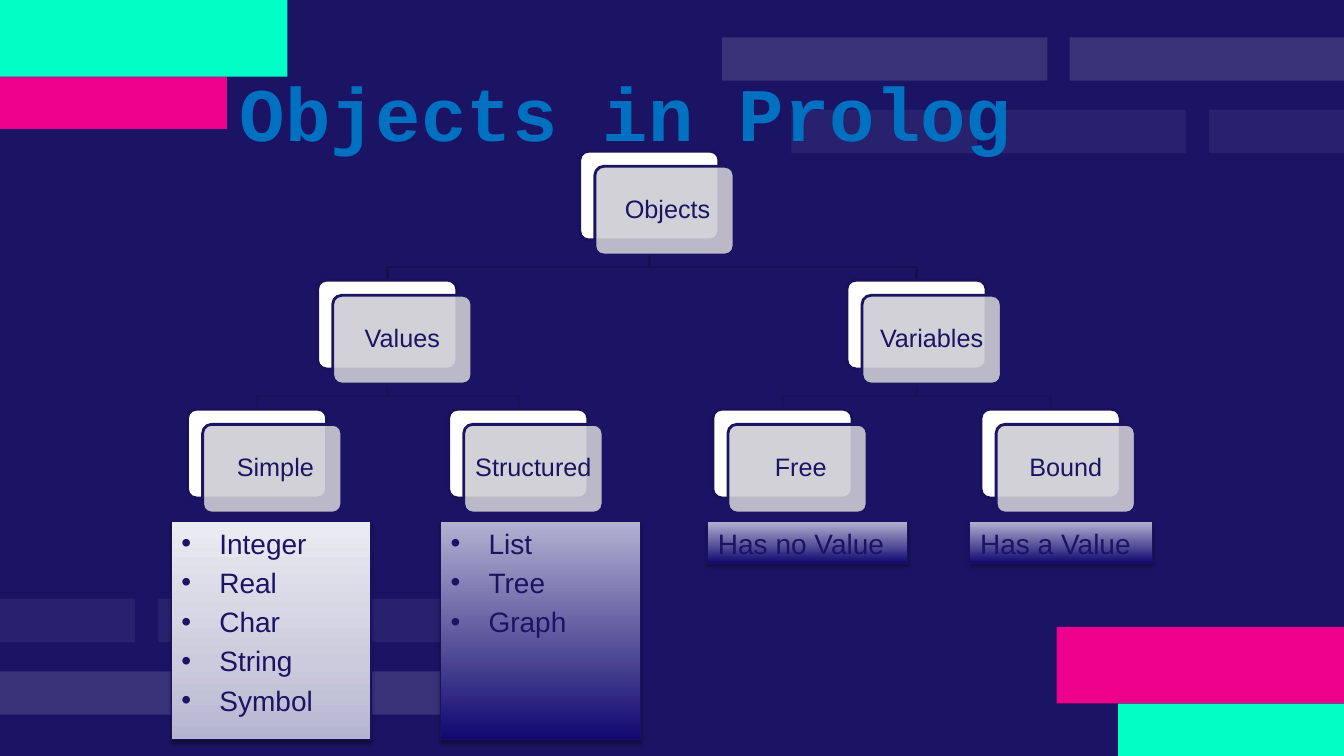
from typing import NamedTuple, Optional

from lxml import etree
from pptx import Presentation
from pptx import util as u
from pptx.dml import color
from pptx.enum import shapes, text
from pptx.oxml import ns

WIDTH, HEIGHT = 13.33, 7.5
CARD_W, CARD_H, CARD_SHIFT = 1.38, 0.88, 0.15
TREE_TOP, LEVEL_STEP = 1.5, 1.28
COLORS = {
    "navy": "1B1464", "white": "FFFFFF", "pink": "EC008C", "mint": "00FFC5",
    "title": "0070C0", "card": "CDCCD3", "card_edge": "19125B",
    "trunk": "161050", "branch": "19125B", "panel_edge": "191264",
}
PALE = [(0, "B5B4CF"), (35, "CBCBDD"), (100, "EBEBF2")]
DEEP = [(0, "110870"), (100, "B2B2D1")]


class Block(NamedTuple):
    x: float
    y: float
    w: float
    h: float
    color: str
    alpha: int = 100


class Node(NamedTuple):
    label: str
    x: float
    level: int
    parent: Optional[str] = None

    @property
    def y(self) -> float:
        return TREE_TOP + LEVEL_STEP * self.level

    @property
    def mid(self) -> float:
        return self.x + CARD_W / 2


class Panel(NamedTuple):
    idx: int
    x: float
    w: float
    h: float
    lines: str
    stops: list
    shadow: int


BANDS = [
    Block(11.99, 1.09, 1.34, 0.43, "white", 6),
    Block(9.92, 1.09, 1.84, 0.43, "white", 6),
    Block(10.61, 0.37, 2.72, 0.43, "white", 13),
    Block(7.85, 1.09, 1.84, 0.43, "white", 6),
    Block(7.16, 0.37, 3.23, 0.43, "white", 13),
]
CORNERS = [
    Block(10.48, 6.22, 2.85, 0.76, "pink"),
    Block(11.09, 6.98, 2.24, 0.52, "mint"),
    Block(0, 0.76, 2.25, 0.52, "pink"),
    Block(0, 0, 2.85, 0.76, "mint"),
]
NODES = [
    Node("Objects ", 5.75, 0),
    Node("Values", 3.15, 1, "Objects "),
    Node("Simple ", 1.86, 2, "Values"),
    Node("Structured", 4.45, 2, "Values"),
    Node("Variables", 8.4, 1, "Objects "),
    Node("Free ", 7.07, 2, "Variables"),
    Node("Bound", 9.73, 2, "Variables"),
]
PANELS = [
    Panel(2, 1.7, 1.98, 2.17, "Integer\nReal\nChar\nString\nSymbol", PALE, 38),
    Panel(4, 4.37, 1.98, 2.17, "List\nTree\nGraph", DEEP, 35),
    Panel(1, 7.02, 1.98, 0.42, "Has no Value", DEEP, 35),
    Panel(3, 9.62, 1.81, 0.42, "Has a Value", DEEP, 35),
]


def rgb(name: str) -> color.RGBColor:
    return color.RGBColor.from_string(COLORS[name])


def place(sp, x: float, y: float, w: float, h: float) -> None:
    sp.left, sp.top = u.Inches(x), u.Inches(y)
    sp.width, sp.height = u.Inches(w), u.Inches(h)


def write(sp, content: str, *, size: int, fill: str = "navy", font: str = "Arial",
          bold: bool = False, align=text.PP_ALIGN.LEFT, anchor=text.MSO_ANCHOR.TOP,
          spacing: Optional[float] = None, rtl: bool = False,
          margins: tuple = (0.1, 0.05, 0.1, 0.05)) -> None:
    tf = sp.text_frame
    tf.word_wrap, tf.auto_size = True, text.MSO_AUTO_SIZE.NONE
    tf.vertical_anchor = anchor
    tf.margin_left, tf.margin_top, tf.margin_right, tf.margin_bottom = map(u.Inches, margins)
    for i, line in enumerate(content.split("\n")):
        p = tf.add_paragraph() if i else tf.paragraphs[0]
        p.alignment = align
        if spacing:
            p.line_spacing = spacing
        if rtl:
            p._p.get_or_add_pPr().set("rtl", "1")
        r = p.add_run()
        r.text = line
        r.font.size, r.font.name, r.font.bold = u.Pt(size), font, bold
        r.font.color.rgb = rgb(fill)


def add_block(s, b: Block, kind=shapes.MSO_SHAPE.RECTANGLE, edge: Optional[str] = None):
    sp = s.shapes.add_shape(kind, *map(u.Inches, b[:4]))
    sp.shadow.inherit = False
    sp.fill.solid()
    sp.fill.fore_color.rgb = rgb(b.color)
    if b.alpha < 100:
        clr = sp.element.spPr.find(ns.qn("a:solidFill"))[0]
        etree.SubElement(clr, ns.qn("a:alpha"), val=str(b.alpha * 1000))
    if edge:
        sp.line.color.rgb, sp.line.width = rgb(edge), u.Pt(2)
    else:
        sp.line.fill.background()
    return sp


def add_branch(s, parent: Node, child: Node) -> None:
    start, turn = parent.y + CARD_H, child.y - 0.13
    points = [(parent.mid, start), (parent.mid, turn), (child.mid, turn), (child.mid, child.y)]
    corners = [(u.Inches(x), u.Inches(y)) for x, y in points]
    fb = s.shapes.build_freeform(*corners[0])
    fb.add_line_segments(corners[1:], close=False)
    sp = fb.convert_to_shape()
    sp.shadow.inherit = False
    sp.fill.background()
    sp.line.color.rgb = rgb("branch" if parent.level else "trunk")
    sp.line.width = u.Pt(2)


def add_card(s, node: Node) -> None:
    kind = shapes.MSO_SHAPE.ROUNDED_RECTANGLE
    back = add_block(s, Block(node.x, node.y, CARD_W, CARD_H, "white"), kind, "card_edge")
    front = add_block(s, Block(node.x + CARD_SHIFT, node.y + CARD_SHIFT, CARD_W, CARD_H,
                               "card", 90), kind, "navy")
    for sp in (back, front):
        sp.adjustments[0] = 0.1
    write(front, node.label, size=18, align=text.PP_ALIGN.CENTER, spacing=0.9, rtl=True,
          anchor=text.MSO_ANCHOR.MIDDLE, margins=(0.05,) * 4)


def format_panel(sp, panel: Panel) -> None:
    place(sp, panel.x, 5.17, panel.w, panel.h)
    sp.fill.gradient()
    sp.fill.gradient_angle = 90
    spPr = sp.element.spPr
    stops = spPr.find(".//" + ns.qn("a:gsLst"))
    for old in list(stops):
        stops.remove(old)
    for pos, value in panel.stops:
        gs = etree.SubElement(stops, ns.qn("a:gs"), pos=str(pos * 1000))
        etree.SubElement(gs, ns.qn("a:srgbClr"), val=value)
    sp.line.color.rgb, sp.line.width = rgb("panel_edge"), u.Pt(0.75)
    sp.shadow.inherit = False
    shadow = etree.SubElement(spPr.find(ns.qn("a:effectLst")), ns.qn("a:outerShdw"),
                              blurRad=str(u.Pt(3.1)), dist=str(u.Pt(1.7)),
                              dir="5400000", rotWithShape="0")
    clr = etree.SubElement(shadow, ns.qn("a:srgbClr"), val="000000")
    etree.SubElement(clr, ns.qn("a:alpha"), val=str(panel.shadow * 1000))
    write(sp, panel.lines, size=20)


def main() -> None:
    prs = Presentation()
    prs.slide_width, prs.slide_height = u.Inches(WIDTH), u.Inches(HEIGHT)
    s = prs.slides.add_slide(prs.slide_layouts[4])
    s.background.fill.solid()
    s.background.fill.fore_color.rgb = rgb("navy")
    slots = {sp.placeholder_format.idx: sp for sp in s.placeholders}

    # Faint bands, repeated half a turn round, and bright corners
    turned = [b._replace(x=WIDTH - b.x - b.w, y=7.46 - b.y - b.h) for b in BANDS]
    for b in BANDS + turned + CORNERS:
        add_block(s, b)

    # Title, in front of the bands
    title = slots[0]
    s.shapes.element.append(title.element)
    place(title, 1.93, 0.3, 9, 1.25)
    write(title, "Objects in Prolog ", size=54, fill="title", font="Courier New", bold=True,
          align=text.PP_ALIGN.CENTER, anchor=text.MSO_ANCHOR.BOTTOM, spacing=0.8,
          margins=(0.1, 0.1, 0.1, 0))

    # Object tree: branches behind cards
    by_label = {node.label: node for node in NODES}
    for node in NODES:
        if node.parent:
            add_branch(s, by_label[node.parent], node)
    for node in NODES:
        add_card(s, node)

    # Panels under the leaves
    for panel in PANELS:
        sp = slots[panel.idx]
        s.shapes.element.append(sp.element)
        format_panel(sp, panel)

    prs.save("out.pptx")


if __name__ == "__main__":
    main()
